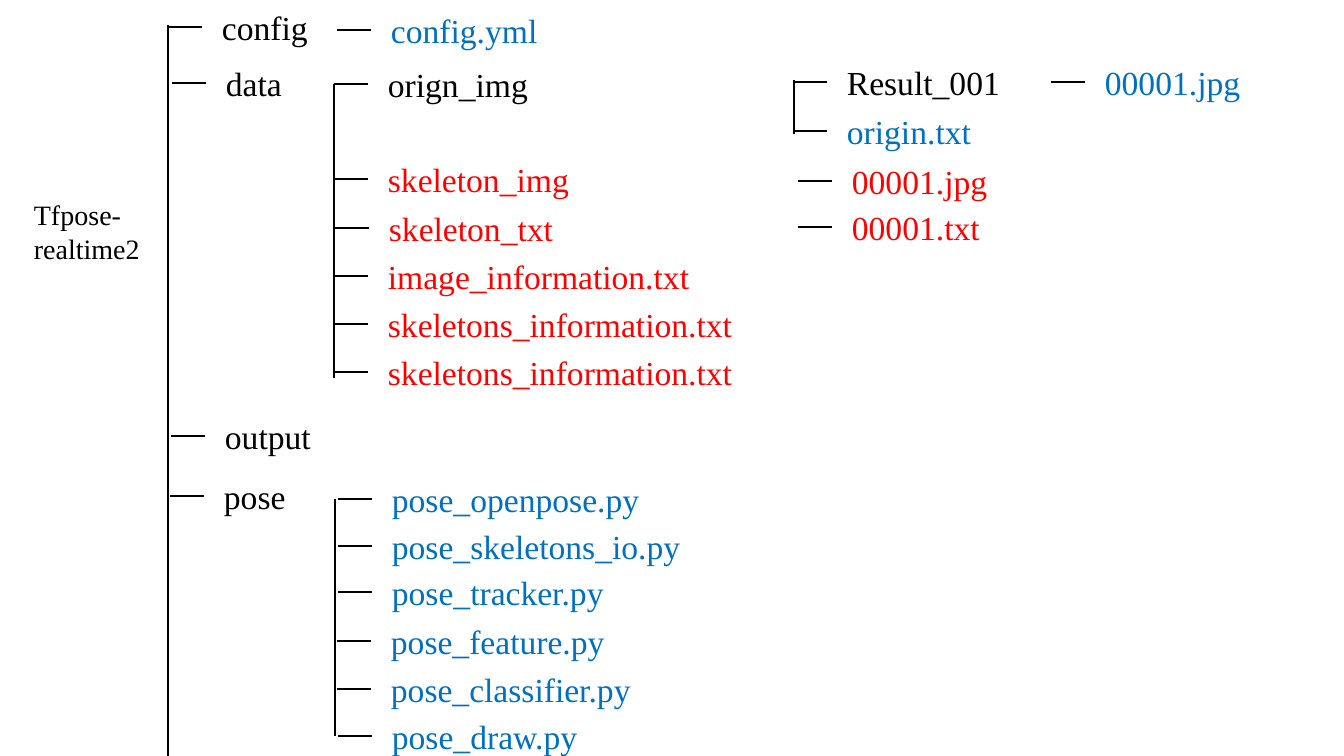
"""Build a slide that shows the folder tree of a pose project."""
from lxml import etree
from pptx import Presentation
from pptx.dml.color import RGBColor
from pptx.enum.shapes import MSO_CONNECTOR
from pptx.oxml.ns import qn
from pptx.util import Emu, Pt

STRAIGHT = MSO_CONNECTOR.STRAIGHT
EMU_PER_PX = 914400 / 100.8
FONT = "Times New Roman"
COLORS = {"folder": "000000", "source": "0070C0", "output": "FF0000", "line": "000000"}

SLIDE_SIZE = (1344, 756)
DASH = 34
LABEL_SHIFT = 44
LABEL_HEIGHT = 50

ROOT = ("Tfpose-realtime2", (24, 193, 200, 78))
TRUNKS = [(168, 25, 756), (334, 84, 378), (335, 499, 736), (794, 80, 134)]

# Each branch: label width, then entries of (name, kind, dash x, dash y)
BRANCHES = [
    (124, [
        ("config", "folder", 168, 27),
        ("data", "folder", 172, 83),
        ("output", "folder", 171, 436),
        ("pose", "folder", 170, 496),
    ]),
    (317, [("config.yml", "source", 337, 30)]),
    (384, [
        ("orign_img", "folder", 334, 84),
        ("skeleton_img", "output", 334, 179),
        ("skeleton_txt", "output", 335, 228),
        ("image_information.txt", "output", 334, 276),
        ("skeletons_information.txt", "output", 334, 324),
        ("skeletons_information.txt", "output", 334, 372),
    ]),
    (317, [
        ("pose_openpose.py", "source", 338, 499),
        ("pose_skeletons_io.py", "source", 338, 546),
        ("pose_tracker.py", "source", 338, 592),
        ("pose_feature.py", "source", 337, 641),
        ("pose_classifier.py", "source", 337, 689),
        ("pose_draw.py", "source", 338, 736),
    ]),
    (240, [
        ("Result_001", "folder", 793, 82),
        ("origin.txt", "source", 793, 131),
        ("00001.jpg", "output", 798, 181),
        ("00001.txt", "output", 798, 227),
        ("00001.jpg", "source", 1051, 82),
    ]),
]


def px(value):
    return Emu(round(value * EMU_PER_PX))


def add_label(slide, text, box, size=24, color="folder"):
    frame = slide.shapes.add_textbox(*map(px, box)).text_frame
    frame.word_wrap = True
    run = frame.paragraphs[0].add_run()
    run.text = text
    run.font.name = FONT
    run.font.size = Pt(size)
    run.font.color.rgb = RGBColor.from_string(COLORS[color])


def add_line(slide, *ends):
    line = slide.shapes.add_connector(STRAIGHT, *map(px, ends))
    line.line.color.rgb = RGBColor.from_string(COLORS["line"])
    line.line.width = Pt(1.5)
    etree.SubElement(line._element.spPr, qn("a:effectLst"))


def main():
    prs = Presentation()
    prs.slide_width, prs.slide_height = map(px, SLIDE_SIZE)
    slide = prs.slides.add_slide(prs.slide_layouts[6])

    root_name, root_box = ROOT
    add_label(slide, root_name, root_box, size=20)
    for x, top, bottom in TRUNKS:
        add_line(slide, x, top, x, bottom)
    for width, entries in BRANCHES:
        for name, kind, x, y in entries:
            add_line(slide, x, y, x + DASH, y)
            box = (x + LABEL_SHIFT, y - LABEL_HEIGHT / 2, width, LABEL_HEIGHT)
            add_label(slide, name, box, color=kind)

    prs.save("out.pptx")


if __name__ == "__main__":
    main()
